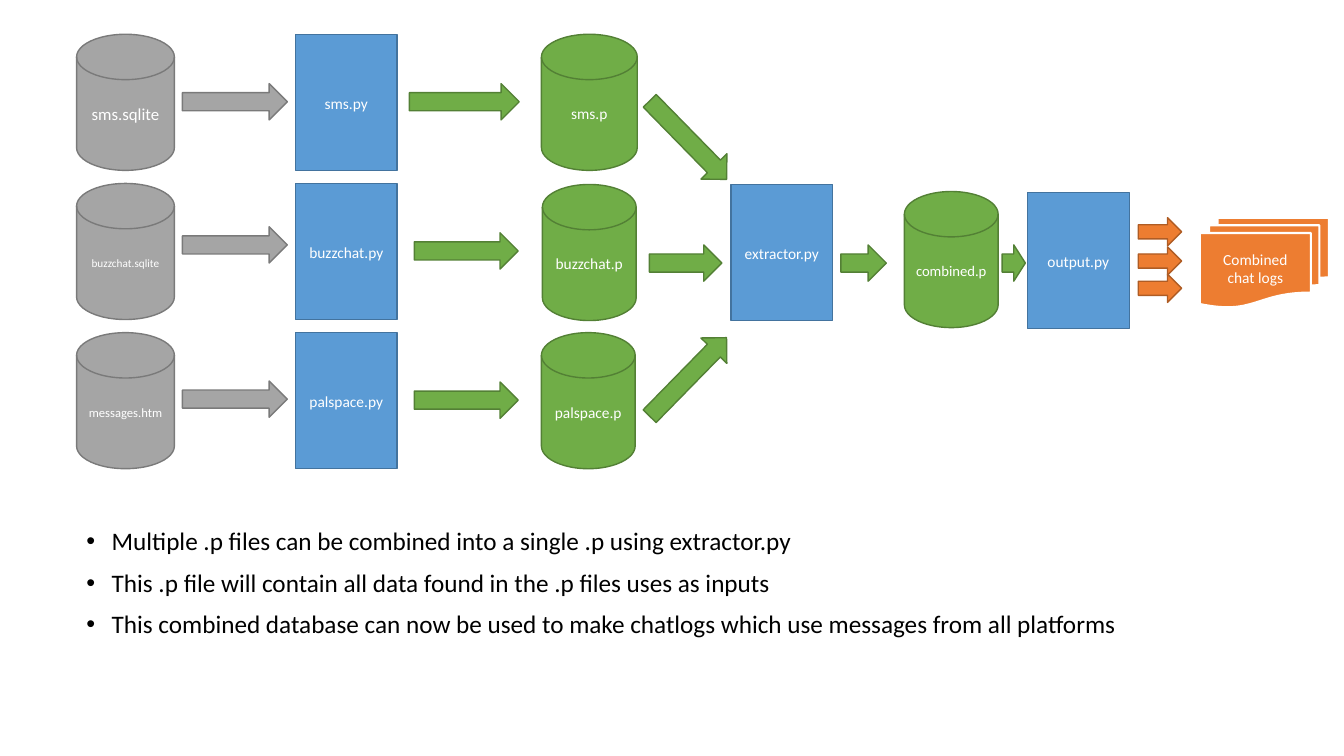
from pptx import Presentation
from pptx.dml.color import RGBColor
from pptx.enum.shapes import MSO_SHAPE
from pptx.enum.text import MSO_ANCHOR, PP_ALIGN
from pptx.oxml.ns import qn
from pptx.util import Inches, Pt
from lxml.etree import SubElement

WHITE = RGBColor(0xFF, 0xFF, 0xFF)
BLACK = RGBColor(0, 0, 0)
# Each pair is fill, outline
BLUE = RGBColor(0x5B, 0x9B, 0xD5), RGBColor(0x43, 0x73, 0x9E)
GREEN = RGBColor(0x70, 0xAD, 0x47), RGBColor(0x53, 0x80, 0x35)
GRAY = RGBColor(0xA5, 0xA5, 0xA5), RGBColor(0x7A, 0x7A, 0x7A)
ORANGE = RGBColor(0xED, 0x7D, 0x31), RGBColor(0xAF, 0x5C, 0x24)
PAPER = ORANGE[0], WHITE

FONT = "Calibri"
BLOCK_HEIGHT = 1.35
SCRIPT_WIDTH = 1.01
ARROW_HEIGHT = 0.36
ROW_TOP, ROW_PITCH = 0.34, 1.48

# input name, its size, script, pickle, pickle box (left, dy, width),
# gray arrow dy, green arrow (left, dy, width)
PIPELINES = [
    ("sms.sqlite", 12, "sms.py", "sms.p", (5.37, 0, 0.95), 0.49, (4.06, 0.49, 1.09)),
    ("buzzchat.sqlite", 8, "buzzchat.py", "buzzchat.p", (5.38, 0.01, 0.93), 0.43, (4.11, 0.49, 1.03)),
    ("messages.htm", 9, "palspace.py", "palspace.p", (5.37, 0, 0.93), 0.48, (4.11, 0.49, 1.03)),
]
NOTES = [
    "Multiple .p files can be combined into a single .p using extractor.py",
    "This .p file will contain all data found in the .p files uses as inputs",
    "This combined database can now be used to make chatlogs which use messages from all platforms",
]


def write(para, text, size=11, color=WHITE, align=PP_ALIGN.CENTER,
          spacing=None, before=None, after=None):
    para.alignment = align
    para.line_spacing = spacing
    para.space_before = None if before is None else Pt(before)
    para.space_after = None if after is None else Pt(after)
    span = para.add_run()
    span.text = text
    span.font.name = FONT
    span.font.size = Pt(size)
    span.font.color.rgb = color


def add_block(page, kind, box, colors, text="", line_width=1, inset=0.05, **style):
    shape = page.shapes.add_shape(kind, *map(Inches, box))
    shape.shadow.inherit = False
    shape.fill.solid()
    shape.fill.fore_color.rgb, shape.line.color.rgb = colors
    shape.line.width = Pt(line_width)
    if text:
        frame = shape.text_frame
        frame.word_wrap = True
        frame.vertical_anchor = MSO_ANCHOR.MIDDLE
        frame.margin_left = frame.margin_right = Inches(inset)
        write(frame.paragraphs[0], text, **style)
    return shape


def add_arrow(page, left, top, width, colors=GREEN, height=ARROW_HEIGHT, angle=0):
    arrow = add_block(page, MSO_SHAPE.RIGHT_ARROW, (left, top, width, height), colors)
    arrow.rotation = angle


def add_script(page, left, top, name):
    add_block(page, MSO_SHAPE.RECTANGLE, (left, top, SCRIPT_WIDTH, BLOCK_HEIGHT),
              BLUE, name, spacing=1.07, after=8)


def add_store(page, left, top, width, name, colors=GREEN, size=11):
    """Draw a data file as a cylinder."""
    add_block(page, MSO_SHAPE.FLOWCHART_MAGNETIC_DISK, (left, top, width, BLOCK_HEIGHT),
              colors, name, size=size)


def add_pipeline(page, top, source, source_size, script, pickle, pickle_box,
                 read_dy, write_box):
    """Draw one row: input file, script and the pickle it writes."""
    add_store(page, 0.76, top, 0.97, source, GRAY, source_size)
    add_arrow(page, 1.81, top + read_dy, 1.04, GRAY)
    add_script(page, 2.93, top, script)
    left, dy, width = write_box
    add_arrow(page, left, top + dy, width)
    left, dy, width = pickle_box
    add_store(page, left, top + dy, width, pickle)


def add_merge(page, left, top):
    """Draw the extractor, the arrows into it and the combined file."""
    add_script(page, left, top, "extractor.py")
    add_arrow(page, left - 0.97, top - 0.62, 1.09, angle=45.6)
    add_arrow(page, left - 0.97, top + 1.73, 1.09, angle=314.4)
    add_arrow(page, left - 0.81, top + 0.6, 0.72)
    add_arrow(page, left + 1.09, top + 0.6, 0.45)
    add_store(page, left + 1.72, top + 0.07, 0.93, "combined.p", size=10.5)


def add_output(page, left, top):
    """Draw the output script and the chat logs it makes."""
    add_block(page, MSO_SHAPE.FLOWCHART_MULTIDOCUMENT,
              (left + 1.71, top + 0.25, 1.28, 0.89), PAPER,
              "Combined chat logs", line_width=1.5, inset=0.1)
    for dy in (0.25, 0.54, 0.81):
        add_arrow(page, left + 1.1, top + dy, 0.43, ORANGE, height=0.28)
    add_script(page, left, top, "output.py")
    add_arrow(page, left - 0.25, top + 0.52, 0.23)


def add_notes(page, left, top, width, height):
    box = page.shapes.add_textbox(*map(Inches, (left, top, width, height)))
    frame = box.text_frame
    frame.word_wrap = True
    for index, note in enumerate(NOTES):
        para = frame.add_paragraph() if index else frame.paragraphs[0]
        write(para, note, size=18, color=BLACK, align=PP_ALIGN.LEFT,
              spacing=0.9, before=10)
        props = para._p.get_or_add_pPr()
        props.set("marL", str(Inches(0.25)))
        props.set("indent", str(Inches(-0.25)))
        SubElement(props, qn("a:buFont"), typeface="Arial")
        SubElement(props, qn("a:buChar"), char="•")


def main():
    deck = Presentation()
    deck.slide_width, deck.slide_height = Inches(13.33), Inches(7.5)
    page = deck.slides.add_slide(deck.slide_layouts[6])
    for row, pipeline in enumerate(PIPELINES):
        add_pipeline(page, ROW_TOP + row * ROW_PITCH, *pipeline)
    add_merge(page, 7.25, 1.83)
    add_output(page, 10.19, 1.91)
    add_notes(page, 0.76, 5.2, 11.5, 1.84)
    deck.save("out.pptx")


if __name__ == "__main__":
    main()
